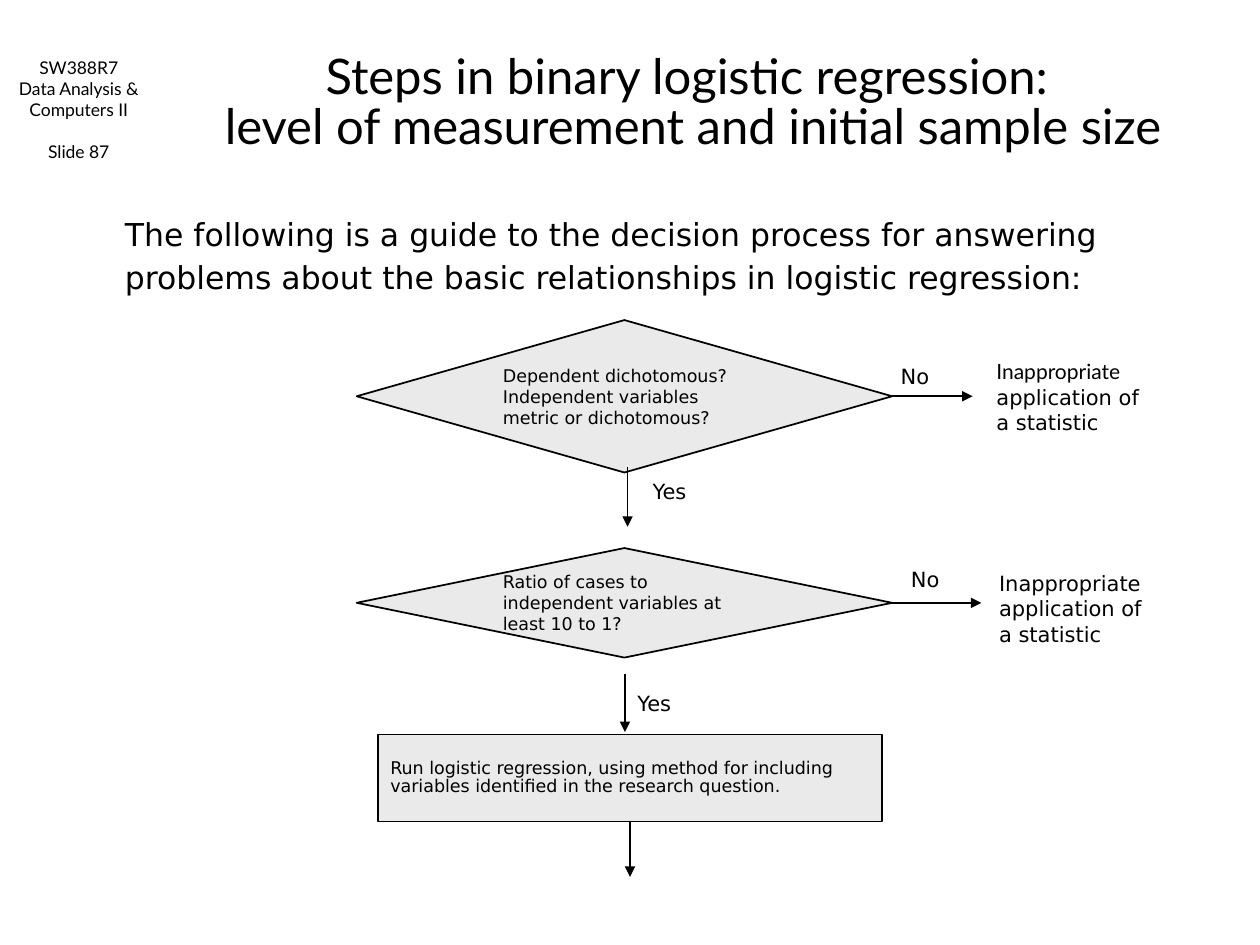
from lxml import etree
from pptx import Presentation
from pptx.dml.color import RGBColor
from pptx.enum import shapes, text
from pptx.oxml.ns import qn
from pptx.util import Pt

SANS, LATO = "DejaVu Sans", "Lato"
BLACK, GREY = "000000", "EAEAEA"
TOP, MIDDLE, BOTTOM = text.MSO_ANCHOR.TOP, text.MSO_ANCHOR.MIDDLE, text.MSO_ANCHOR.BOTTOM
LEFT, CENTER = text.PP_ALIGN.LEFT, text.PP_ALIGN.CENTER
DECISION, PROCESS = shapes.MSO_SHAPE.FLOWCHART_DECISION, shapes.MSO_SHAPE.RECTANGLE
SIDE_BOTTOM, SIDE_RIGHT = 2, 3

heading = "Steps in binary logistic regression: \vlevel of measurement and initial sample size"
course = ["SW388R7", "Data Analysis & Computers II", "Slide 87"]
guide = ["The following is a guide to the decision process for answering",
         "problems about the basic relationships in logistic regression:"]
steps = [
    (DECISION, (203.8, 182.9, 306, 87.1), 1, 1,
     ["Dependent dichotomous?", "Independent variables metric or dichotomous?"]),
    (DECISION, (203.8, 313.2, 306, 62.6), 1, 1,
     ["Ratio of cases to independent variables at least 10 to 1?"]),
    (PROCESS, (216, 419.8, 288, 49.7), 0.75, 0.85,
     ["Run logistic regression, using method for including variables "
      "identified in the research question."]),
]
answers = [
    ("No", (507.6, 204.5)), ("Yes", (365.8, 270)),
    ("No", (513.4, 320.4)), ("Yes", (357.1, 391)),
]
outcomes = [
    ((562.3, 201.6, 98, 50.4), [("Inappropriate ", LATO), ("application of a statistic", SANS)]),
    ((563.8, 322.6, 102.2, 50.4), [("Inappropriate application of a statistic", SANS)]),
]
exits = [(0, SIDE_RIGHT, 46), (1, SIDE_RIGHT, 51), (2, SIDE_BOTTOM, 31.6)]
yes_arrows = [(358.6, 267.1, 301), (357.1, 385.2, 418.3)]


def color(code):
    return RGBColor.from_string(code)


def style(paragraph, size, face, align=LEFT, spacing=1):
    paragraph.alignment = align
    paragraph.line_spacing = spacing
    paragraph.font.size = Pt(size)
    paragraph.font.name = face
    paragraph.font.color.rgb = color(BLACK)


def write(frame, lines, size, face=SANS, align=LEFT, anchor=TOP, spacing=1):
    frame.word_wrap = True
    frame.vertical_anchor = anchor
    frame.text = "\n".join(lines)
    for paragraph in frame.paragraphs:
        style(paragraph, size, face, align, spacing)
    return frame.paragraphs


def add_label(box, lines, size, **options):
    frame = slide.shapes.add_textbox(*map(Pt, box)).text_frame
    return write(frame, lines, size, **options)


def add_step(kind, box, weight, spacing, lines):
    step = slide.shapes.add_shape(kind, *map(Pt, box))
    step.shadow.inherit = False
    step.fill.solid()
    step.fill.fore_color.rgb = color(GREY)
    step.line.color.rgb = color(BLACK)
    step.line.width = Pt(weight)
    write(step.text_frame, lines, 10, anchor=MIDDLE, spacing=spacing)
    return step


def add_arrow(x1, y1, x2, y2):
    arrow = slide.shapes.add_connector(shapes.MSO_CONNECTOR.STRAIGHT, *map(Pt, (x1, y1, x2, y2)))
    arrow.line.color.rgb = color(BLACK)
    arrow.line.width = Pt(1)
    etree.SubElement(arrow.line._get_or_add_ln(), qn("a:tailEnd"), type="triangle")
    etree.SubElement(arrow._element.spPr, qn("a:effectLst"))
    return arrow


deck = Presentation()
deck.slide_width, deck.slide_height = Pt(720), Pt(540)
slide = deck.slides.add_slide(deck.slide_layouts[5])

title = slide.shapes.title
title.left, title.top, title.width, title.height = map(Pt, (90, 24, 612, 72))
write(title.text_frame, [heading], 28, face=LATO, align=CENTER, anchor=MIDDLE, spacing=0.85)

course_lines = add_label((0, 24, 90, 72), course, 10, face=LATO, align=CENTER, anchor=BOTTOM)
course_lines[-1].space_before = Pt(12)

guide_lines = add_label((59.8, 119.5, 645, 54.7), guide, 18)
guide_lines[-1].space_before = Pt(3)
for line in guide_lines:
    line._p.get_or_add_pPr().set("marL", str(Pt(4.5)))

nodes = [add_step(*step) for step in steps]

for index, side, length in exits:
    left, top, width, height = steps[index][1]
    if side == SIDE_RIGHT:
        x, y = left + width, top + height / 2
        arrow = add_arrow(x, y, x + length, y)
    else:
        x, y = left + width / 2, top + height
        arrow = add_arrow(x, y, x, y + length)
    arrow.begin_connect(nodes[index], side)

for x, start, end in yes_arrows:
    add_arrow(x, start, x, end)

for answer, corner in answers:
    add_label((*corner, 36.7, 21.6), [answer], 12)

for box, phrases in outcomes:
    outcome = add_label(box, [""], 12)[0]
    for phrase, face in phrases:
        run = outcome.add_run()
        run.text = phrase
        if face != SANS:
            run.font.name = face

deck.save("out.pptx")
